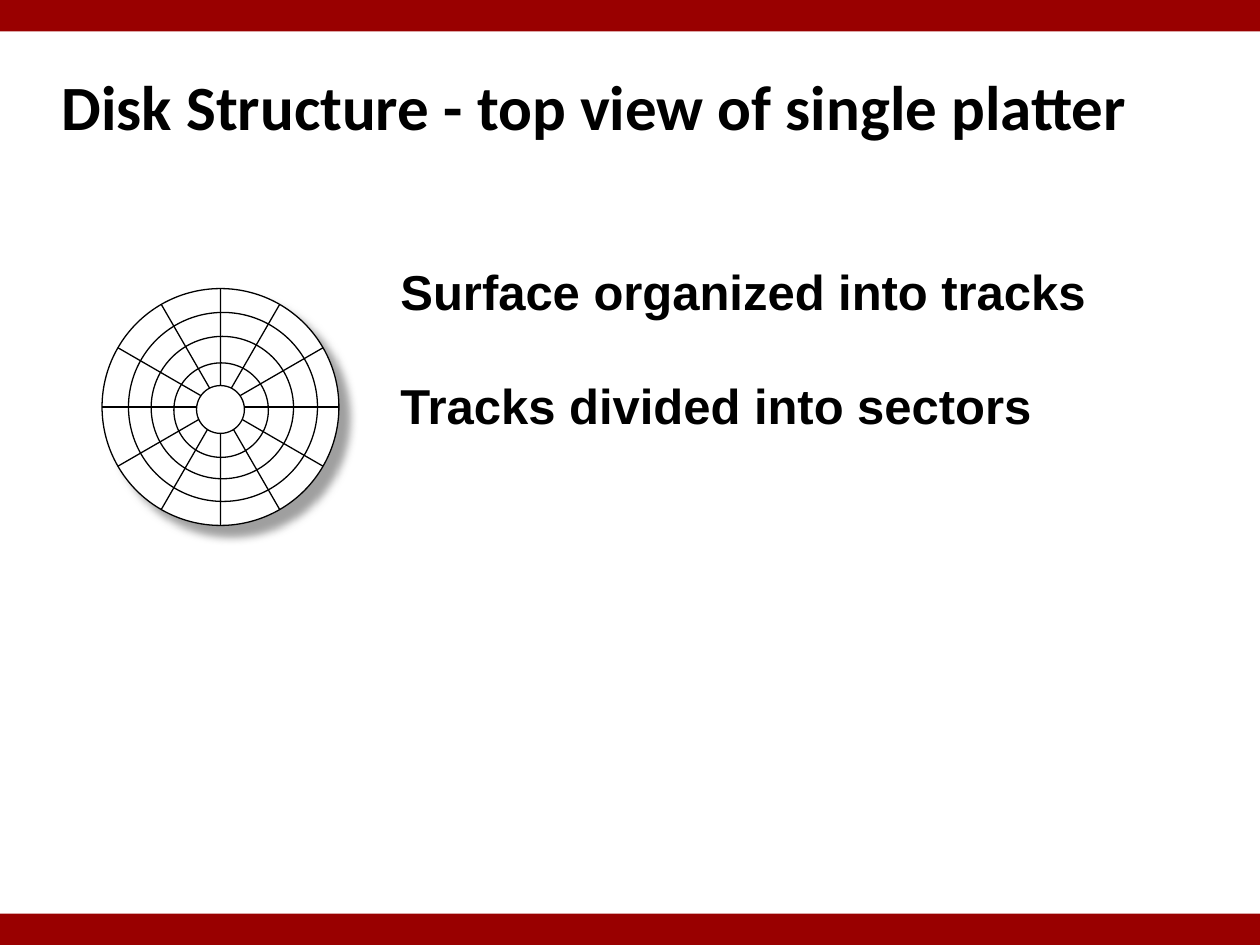
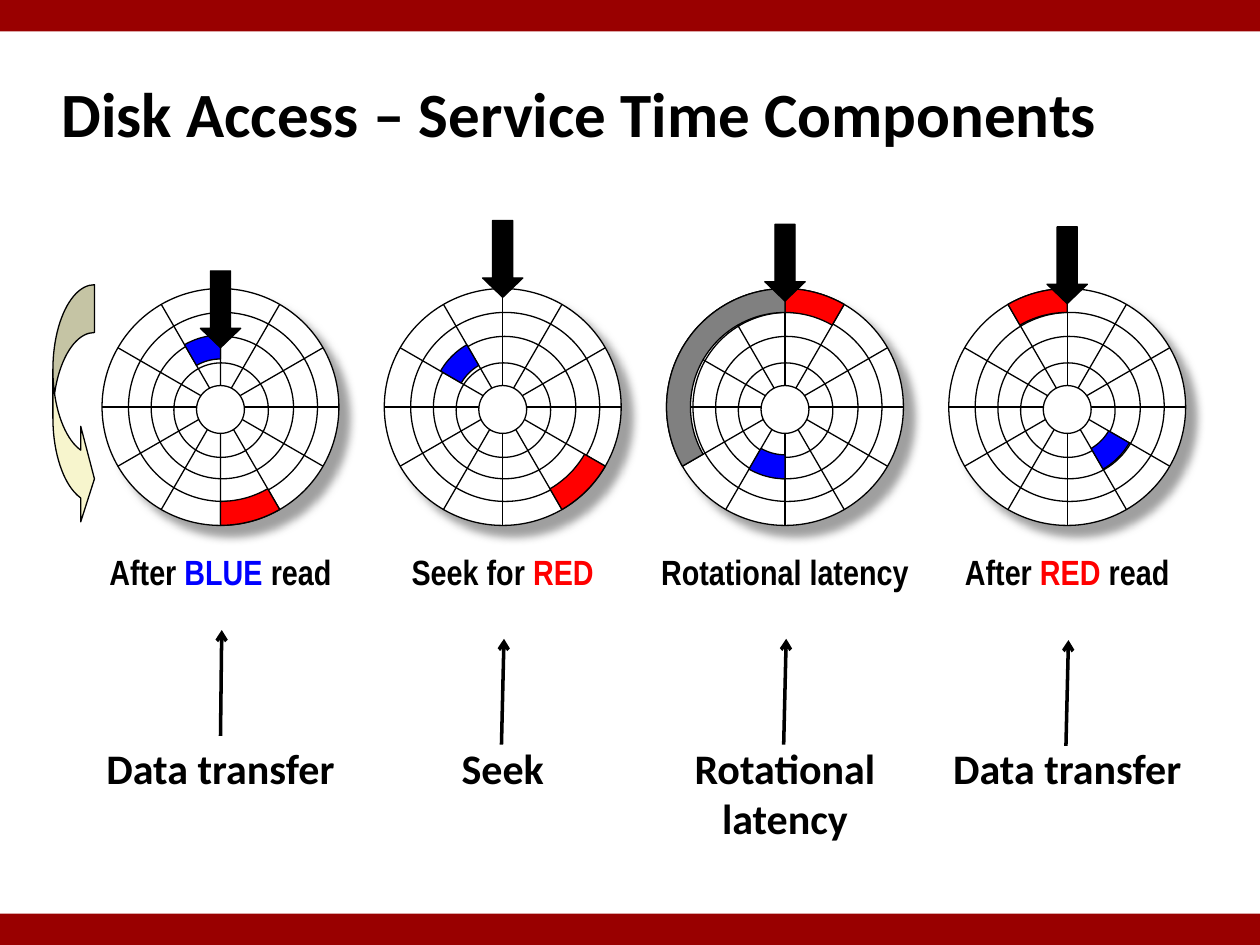
from math import cos, radians, sin

from lxml import etree
from pptx import Presentation
from pptx.dml.color import RGBColor
from pptx.enum.shapes import MSO_CONNECTOR as Connector
from pptx.enum.shapes import MSO_SHAPE as Shape
from pptx.enum.text import MSO_ANCHOR as Anchor
from pptx.enum.text import MSO_AUTO_SIZE as AutoSize
from pptx.enum.text import PP_ALIGN as Align
from pptx.oxml import parse_xml
from pptx.oxml.ns import nsdecls, qn
from pptx.util import Inches, Pt

BLACK, WHITE, RED, BLUE, GRAY = "000000", "FFFFFF", "FF0000", "0000FF", "808080"
BAND, CREAM = "990000", "F7F5CD"
DISK_LEFT, DISK_TOP, DISK_SIZE, DISK_PITCH = 0.81, 2.29, 1.88, 2.24
RADIUS = DISK_SIZE / 2
RINGS = [(0.21, 0.19, 1.5), (0.39, 0.38, 1.13), (0.57, 0.59, 0.75)]
HUB = (0.75, 0.77, 0.38)
OUTER_TRACK, INNER_TRACK = (0.75, 0.94), (0.38, 0.57)
LABEL_TOP = 5.84

STAGES = [
    {
        "sectors": [(BLUE, INNER_TRACK, 90, 120), (RED, OUTER_TRACK, 270, 300)],
        "head_top": 2.15,
        "caption": [("After ", BLACK), ("BLUE ", BLUE), ("read", BLACK)],
        "label": ["Data transfer"],
        "arrow": (5.84, 5),
    },
    {
        "sectors": [(BLUE, INNER_TRACK, 120, 150), (RED, OUTER_TRACK, 300, 330)],
        "head_top": 1.75,
        "caption": [("Seek for ", BLACK), ("RED", RED)],
        "label": ["Seek"],
        "arrow": (5.91, 5.07),
    },
    {
        "sectors": [
            (RED, OUTER_TRACK, 60, 90),
            (BLUE, INNER_TRACK, 240, 270),
            (GRAY, OUTER_TRACK, 90, 210),
        ],
        "head_top": 1.78,
        "caption": [("Rotational latency", BLACK)],
        "label": ["Rotational", "latency"],
        "arrow": (5.91, 5.07),
    },
    {
        "sectors": [(RED, OUTER_TRACK, 90, 120), (BLUE, INNER_TRACK, 300, 330)],
        "head_top": 1.8,
        "caption": [("After ", BLACK), ("RED", RED), (" read", BLACK)],
        "label": ["Data transfer"],
        "arrow": (5.92, 5.08),
    },
]


def color(hex_string):
    return RGBColor.from_string(hex_string)


def paint(shape, fill, line=BLACK):
    shape.shadow.inherit = False
    shape.fill.solid()
    shape.fill.fore_color.rgb = color(fill)
    if line:
        shape.line.color.rgb = color(line)
        shape.line.width = Pt(0.75)
    else:
        shape.line.fill.background()


def add_preset(shapes, preset, box, fill, line=BLACK):
    shape = shapes.add_shape(preset, *map(Inches, box))
    paint(shape, fill, line)
    return shape


def add_line(shapes, start, end, width=0.75):
    line = shapes.add_connector(Connector.STRAIGHT, *map(Inches, (*start, *end)))
    line.line.color.rgb = color(BLACK)
    line.line.width = Pt(width)
    etree.SubElement(line._element.spPr, qn("a:effectLst"))
    return line


def add_text(slide, box, paragraphs, font, size, align=Align.LEFT, anchor=Anchor.TOP):
    shape = slide.shapes.add_textbox(*map(Inches, box))
    frame = shape.text_frame
    frame.word_wrap = True
    frame.vertical_anchor = anchor
    for index, runs in enumerate(paragraphs):
        paragraph = frame.paragraphs[0] if index == 0 else frame.add_paragraph()
        paragraph.alignment = align
        style_font(paragraph.font, font, size)
        for text, hex_string in runs:
            run = paragraph.add_run()
            run.text = text
            run.font.color.rgb = color(hex_string)
    return shape


def style_font(font, name, size):
    font.name, font.size, font.bold = name, Pt(size), True
    font.color.rgb = color(BLACK)


def add_slide(presentation, title, title_box):
    slide = presentation.slides.add_slide(presentation.slide_layouts[5])
    shape = slide.shapes.title
    shape.left, shape.top, shape.width, shape.height = map(Inches, title_box)
    frame = shape.text_frame
    frame.text = title
    frame.auto_size = AutoSize.NONE
    frame.vertical_anchor = Anchor.MIDDLE
    paragraph = frame.paragraphs[0]
    paragraph.alignment = Align.LEFT
    style_font(paragraph.font, "Calibri", 36)
    for top in (7.25, 0):
        add_preset(slide.shapes, Shape.RECTANGLE, (0, top, 10, 0.25), BAND, None)
    return slide


def add_disk_shadow(platter):
    effects = platter._element.spPr.find(qn("a:effectLst"))
    effects.append(parse_xml(
        f'<a:outerShdw {nsdecls("a")} blurRad="{Pt(5)}" dist="{Pt(8.5)}" '
        f'dir="2700000" algn="ctr" rotWithShape="0"><a:srgbClr val="{GRAY}">'
        '<a:alpha val="75000"/></a:srgbClr></a:outerShdw>'))


def polar(center, radius, degrees):
    angle = radians(degrees)
    return center[0] + radius * cos(angle), center[1] - radius * sin(angle)


def add_sector(shapes, center, fill, track, start, end):
    inner, outer = track
    angles = range(start, end + 1, 3)
    points = [polar(center, outer, angle) for angle in angles]
    points += [polar(center, inner, angle) for angle in reversed(angles)]
    vertices = [(Inches(x), Inches(y)) for x, y in points]
    builder = shapes.build_freeform(*vertices[0])
    builder.add_line_segments(vertices[1:], close=True)
    paint(builder.convert_to_shape(), fill)


def add_disk(slide, left, top, sectors=()):
    shapes = slide.shapes.add_group_shape().shapes
    center = left + RADIUS, top + RADIUS
    platter = add_preset(shapes, Shape.OVAL, (left, top, DISK_SIZE, DISK_SIZE), WHITE)
    add_disk_shadow(platter)
    for x, y, size in RINGS:
        add_preset(shapes, Shape.OVAL, (left + x, top + y, size, size), WHITE)
    for angle in range(0, 180, 30):
        add_line(shapes, polar(center, RADIUS, angle), polar(center, RADIUS, angle + 180))
    x, y, size = HUB
    add_preset(shapes, Shape.OVAL, (left + x, top + y, size, size), WHITE)
    for fill, track, start, end in sectors:
        add_sector(shapes, center, fill, track, start, end)


def add_stage(slide, left, stage):
    center = left + RADIUS
    add_disk(slide, left, DISK_TOP, stage["sectors"])
    head = add_preset(slide.shapes, Shape.DOWN_ARROW,
                      (center - 0.16, stage["head_top"], 0.32, 0.61), BLACK)
    head.adjustments[1] = 0.48
    add_text(slide, (center - 1.33, 4.32, 2.66, 0.43), [stage["caption"]],
             "Arial Narrow", 20, Align.CENTER)
    lines = [[(text, BLACK)] for text in stage["label"]]
    label = add_text(slide, (center - 1.02, LABEL_TOP, 2.04, 0.1 + 0.4 * len(lines)), lines,
                     "Calibri", 24, Align.CENTER)
    foot, tip = stage["arrow"]
    arrow = add_line(slide.shapes, (center - 0.01, foot), (center + 0.01, tip), 2)
    if foot == LABEL_TOP:
        arrow.begin_connect(label, 0)
    etree.SubElement(arrow.line._get_or_add_ln(), qn("a:tailEnd"), type="arrow")


def build_structure_slide(presentation):
    slide = add_slide(presentation, "Disk Structure - top view of single platter",
                      (0.39, 0.42, 9.28, 0.83))
    add_disk(slide, DISK_LEFT, DISK_TOP)
    statements = ["Surface organized into tracks", "Tracks divided into sectors"]
    for row, text in enumerate(statements):
        add_text(slide, (3.08, 1.67 + 0.91 * row, 6.25, 0.92), [[(text, BLACK)]],
                 "Arial", 28, anchor=Anchor.BOTTOM)


def build_access_slide(presentation):
    slide = add_slide(presentation, "Disk Access – Service Time Components",
                      (0.39, 0.48, 8.85, 0.83))
    for column, stage in enumerate(STAGES):
        add_stage(slide, DISK_LEFT + DISK_PITCH * column, stage)
    rotation = add_preset(slide.shapes, Shape.CURVED_RIGHT_ARROW,
                          (0.42, 2.26, 0.33, 1.92), CREAM)
    for index, value in enumerate((1.15, 2.3, 0.33)):
        rotation.adjustments[index] = value


def main():
    presentation = Presentation()
    presentation.slide_width, presentation.slide_height = Inches(10), Inches(7.5)
    build_structure_slide(presentation)
    build_access_slide(presentation)
    presentation.save("out.pptx")


if __name__ == "__main__":
    main()
